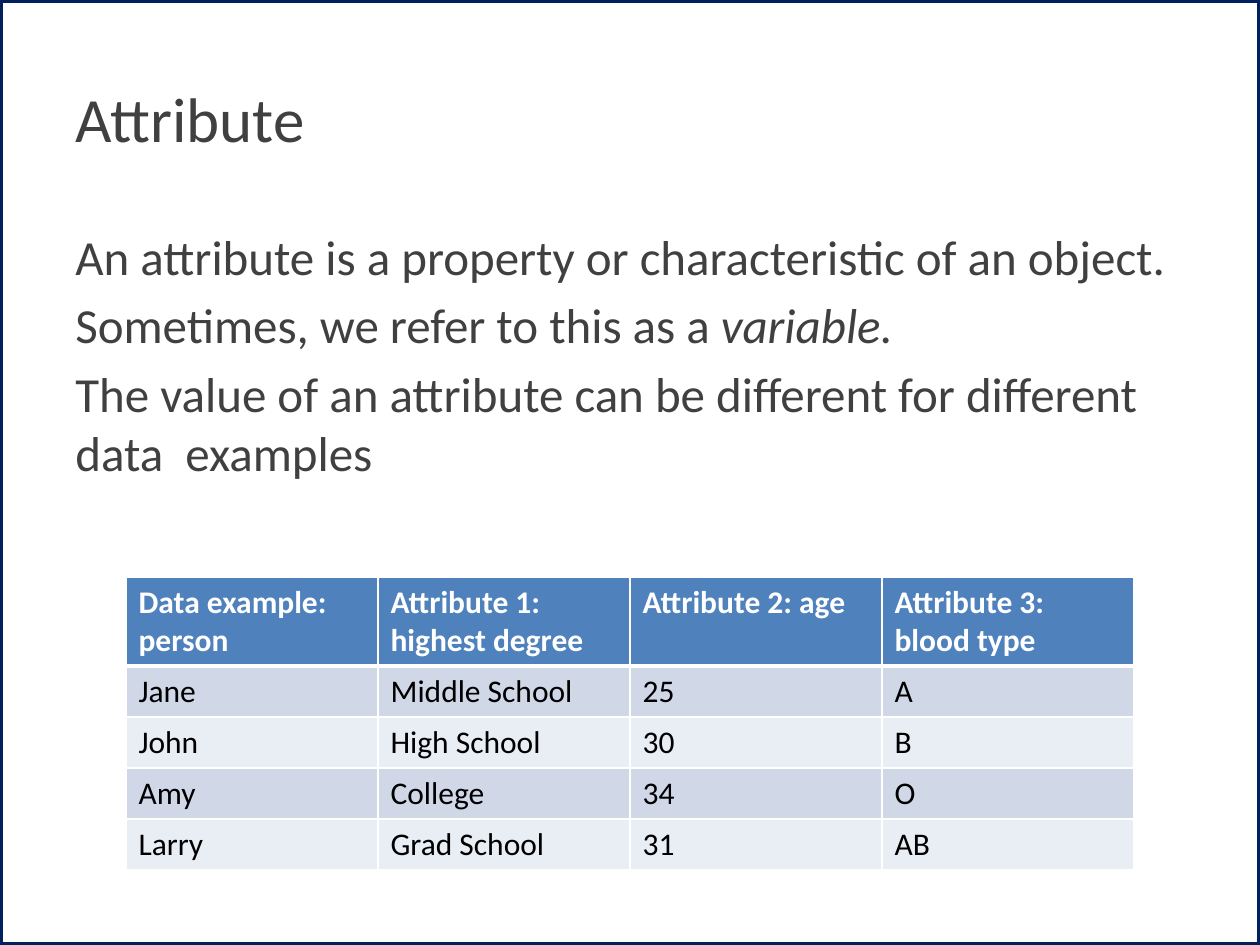
from lxml import etree
from pptx import Presentation
from pptx.dml.color import RGBColor
from pptx.enum.shapes import MSO_SHAPE
from pptx.enum.text import MSO_ANCHOR
from pptx.oxml.ns import qn
from pptx.util import Emu, Pt

RECTANGLE = MSO_SHAPE.RECTANGLE
TOP, MIDDLE = MSO_ANCHOR.TOP, MSO_ANCHOR.MIDDLE
EMU_PER_PX = 914400 / 126
WIDTH, HEIGHT = 1260, 945

STATEMENTS = [
    [("An attribute is a property or characteristic of an object.", False)],
    [("Sometimes, we refer to this as a ", False), ("variable.", True)],
    [("The value of an attribute can be different for different data  examples", False)],
]
PEOPLE = [
    ["Data example: person", "Attribute 1: highest degree", "Attribute 2: age", "Attribute 3: blood type"],
    ["Jane", "Middle School", "25", "A"],
    ["John", "High School", "30", "B"],
    ["Amy", "College", "34", "O"],
    ["Larry", "Grad School", "31", "AB"],
]


def px(length):
    return Emu(round(length * EMU_PER_PX))


def color(code):
    return RGBColor.from_string(code)


class SlideWriter:
    """Holds the style and the slide being filled."""

    font_name = "Calibri"
    text_color = "404040"
    frame_color = "002060"
    header_fill = "4F81BD"
    band_fills = ("E9EDF4", "D0D8E8")
    border_color = "FFFFFF"

    def __init__(self, slide):
        self.slide = slide

    def style_font(self, font, size, code, bold=False, italic=False):
        font.name = self.font_name
        font.size = Pt(size)
        font.color.rgb = color(code)
        font.bold = bold
        font.italic = italic

    def frame(self):
        shape = self.slide.shapes.add_shape(RECTANGLE, 0, 0, px(WIDTH), px(HEIGHT))
        shape.shadow.inherit = False
        shape.fill.background()
        shape.line.color.rgb = color(self.frame_color)
        shape.line.width = Pt(3.5)

    def text(self, left, top, width, height, paragraphs, size, anchor=TOP, gap=0):
        """Add a box; each paragraph is a list of (wording, italic) spans."""
        box = self.slide.shapes.add_textbox(px(left), px(top), px(width), px(height))
        text_frame = box.text_frame
        text_frame.word_wrap = True
        text_frame.vertical_anchor = anchor
        for index, spans in enumerate(paragraphs):
            para = text_frame.add_paragraph() if index else text_frame.paragraphs[0]
            para.space_before = Pt(gap if index else 0)
            for wording, italic in spans:
                span = para.add_run()
                span.text = wording
                self.style_font(span.font, size, self.text_color, italic=italic)

    def cell_borders(self, cell, bottom):
        """Draw 1 pt sides, with the bottom edge as wide as given."""
        properties = cell._tc.get_or_add_tcPr()
        widths = {"a:lnL": 1, "a:lnR": 1, "a:lnT": 1, "a:lnB": bottom}
        for index, (tag, width) in enumerate(widths.items()):
            line = etree.Element(qn(tag), w=str(Pt(width)))
            fill = etree.SubElement(line, qn("a:solidFill"))
            etree.SubElement(fill, qn("a:srgbClr"), val=self.border_color)
            properties.insert(index, line)

    def table(self, left, top, column_width, header_height, row_height, rows, size):
        columns = len(rows[0])
        height = header_height + row_height * (len(rows) - 1)
        table = self.slide.shapes.add_table(
            len(rows), columns, px(left), px(top), px(column_width * columns), px(height)
        ).table
        for column in table.columns:
            column.width = px(column_width)
        for row_index, row in enumerate(rows):
            header = row_index == 0
            table.rows[row_index].height = px(header_height if header else row_height)
            for column_index, wording in enumerate(row):
                cell = table.cell(row_index, column_index)
                cell.text = wording
                span = cell.text_frame.paragraphs[0].runs[0]
                self.style_font(span.font, size, "FFFFFF" if header else "000000", bold=header)
                cell.fill.solid()
                fill = self.header_fill if header else self.band_fills[row_index % 2]
                cell.fill.fore_color.rgb = color(fill)
                self.cell_borders(cell, bottom=3 if header else 1)
                if row_index == 1:
                    cell._tc.tcPr.find(qn("a:lnT")).set("w", str(Pt(3)))


def main():
    deck = Presentation()
    deck.slide_width, deck.slide_height = px(WIDTH), px(HEIGHT)
    writer = SlideWriter(deck.slides.add_slide(deck.slide_layouts[6]))
    writer.frame()
    writer.text(63, 38, 1134, 158, [[("Attribute", False)]], 36, anchor=MIDDLE)
    writer.text(63, 220, 1134, 325, STATEMENTS, 28, gap=5.6)
    writer.table(126, 577, 252, 89, 51, PEOPLE, 18)
    deck.save("out.pptx")


if __name__ == "__main__":
    main()
